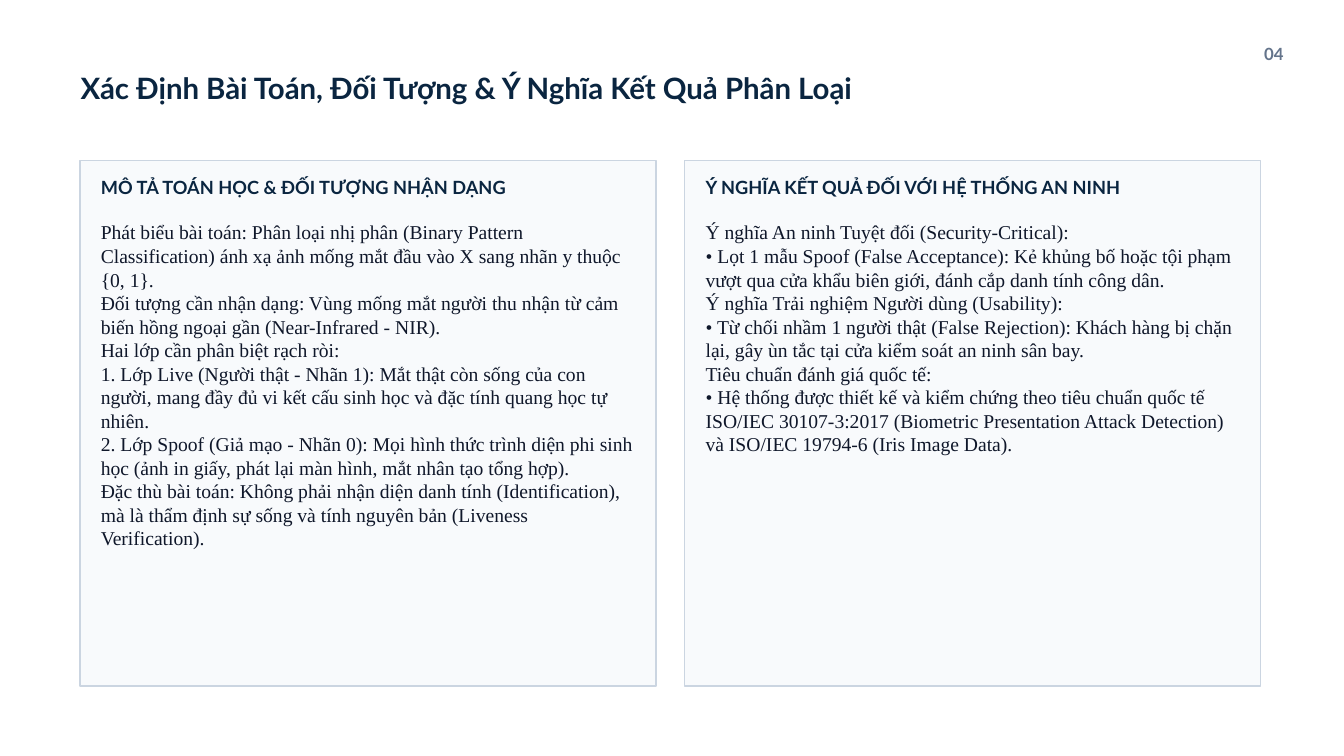
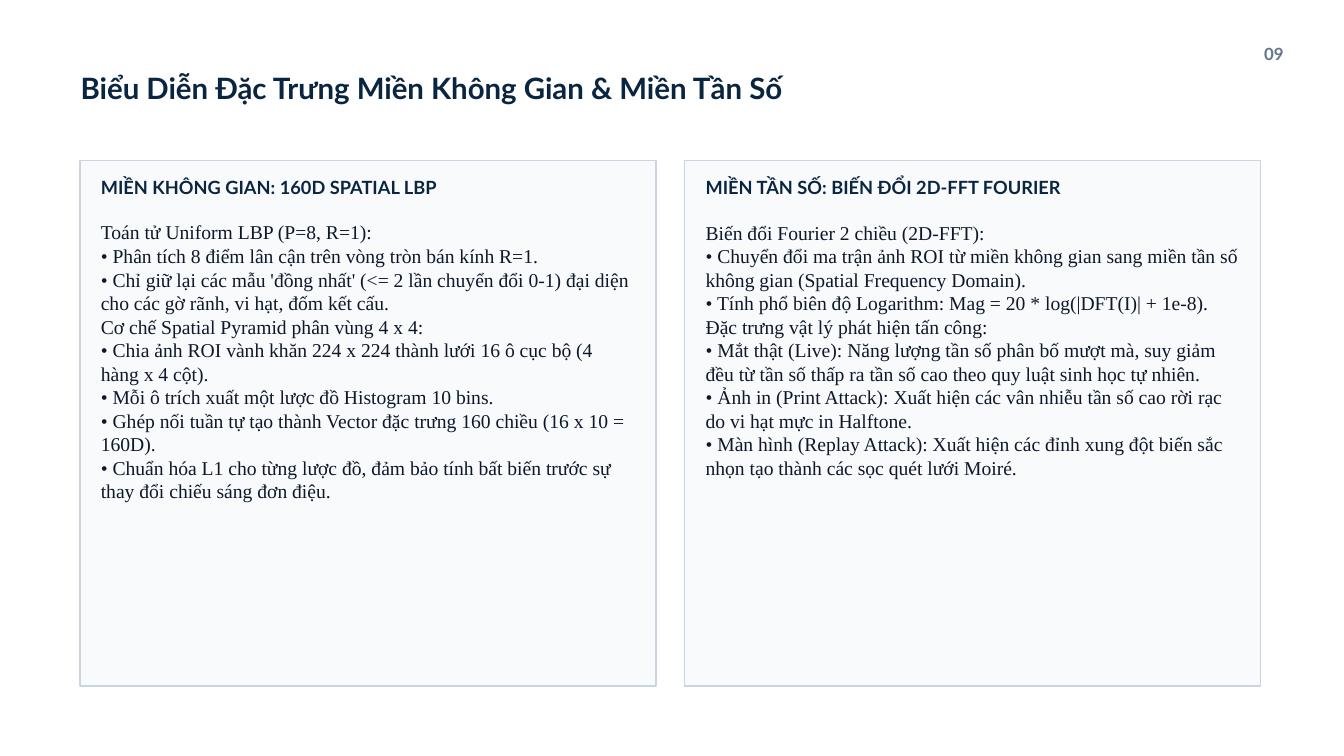
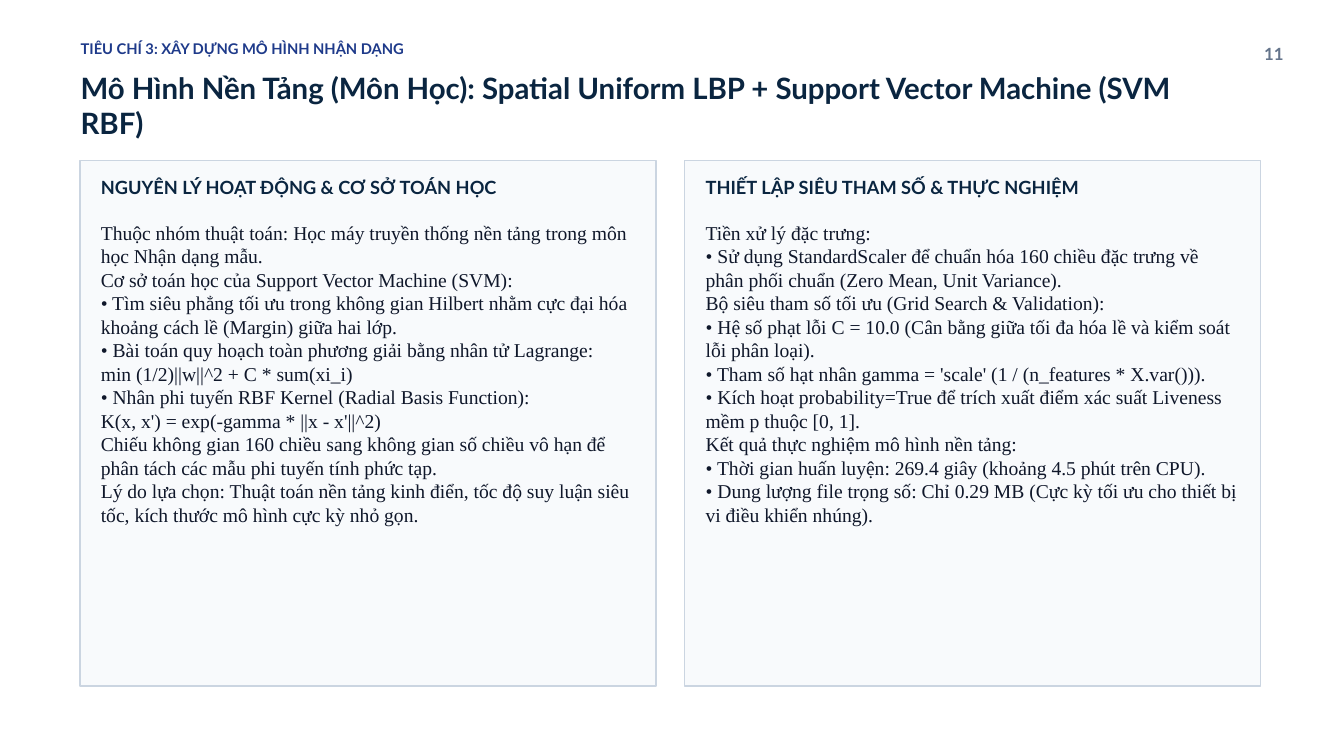
import pptx
import pptx.dml.color
import pptx.enum.shapes
import pptx.enum.text
import pptx.util

WHITE = pptx.dml.color.RGBColor(0xFF, 0xFF, 0xFF)
NAVY = pptx.dml.color.RGBColor(0x0A, 0x25, 0x40)
BLUE = pptx.dml.color.RGBColor(0x1E, 0x3A, 0x8A)
SLATE = pptx.dml.color.RGBColor(0x64, 0x74, 0x8B)
INK = pptx.dml.color.RGBColor(0x0F, 0x17, 0x2A)
CARD_FILL = pptx.dml.color.RGBColor(0xF8, 0xFA, 0xFC)
CARD_LINE = pptx.dml.color.RGBColor(0xCB, 0xD5, 0xE1)

presentation = pptx.Presentation()
presentation.slide_width = pptx.util.Inches(20)
presentation.slide_height = pptx.util.Inches(11.25)
COLUMN = presentation.slide_width / 400
ROW = presentation.slide_height / 225
CARD_PITCH = 180
BODY_LINE_ROWS = 6.92
LINE_SPACING = 1.2

LEFT = pptx.enum.text.PP_ALIGN.LEFT
RIGHT = pptx.enum.text.PP_ALIGN.RIGHT
FRAME_FORMAT = {
    "margin_left": 0,
    "margin_top": 0,
    "margin_right": 0,
    "margin_bottom": 0,
    "word_wrap": True,
    "auto_size": pptx.enum.text.MSO_AUTO_SIZE.SHAPE_TO_FIT_TEXT,
}
STYLES = {
    "criterion": {"name": "Lato", "size": 15.75, "bold": True, "color": BLUE, "align": LEFT},
    "title": {"name": "Lato", "size": 31.5, "bold": True, "color": NAVY, "align": LEFT},
    "number": {"name": "Lato", "size": 18, "bold": True, "color": SLATE, "align": RIGHT},
    "heading": {"name": "Lato", "size": 19.5, "bold": True, "color": NAVY, "align": LEFT},
    "body": {"name": "Times New Roman", "size": 21, "bold": False, "color": INK, "align": LEFT},
}


def place(left, top, width, height):
    return [round(length) for length in (left * COLUMN, top * ROW, width * COLUMN, height * ROW)]


def add_text(slide, box, lines, style_name):
    style = STYLES[style_name]
    size = pptx.util.Pt(style["size"])
    frame = slide.shapes.add_textbox(*place(*box)).text_frame
    for attribute, value in FRAME_FORMAT.items():
        setattr(frame, attribute, value)
    frame.text = "\n".join(lines)
    for paragraph in frame.paragraphs:
        paragraph.alignment = style["align"]
        paragraph.line_spacing = pptx.util.Pt(style["size"] * LINE_SPACING)
        for run in paragraph.runs:
            font_format = {"name": style["name"], "size": size, "bold": style["bold"]}
            for attribute, value in font_format.items():
                setattr(run.font, attribute, value)
            run.font.color.rgb = style["color"]


SLIDES = [
    {
        "number": "04",
        "criterion": None,
        "title": "Xác Định Bài Toán, Đối Tượng & Ý Nghĩa Kết Quả Phân Loại",
        "cards": [
            ("MÔ TẢ TOÁN HỌC & ĐỐI TƯỢNG NHẬN DẠNG", 14, [
                "Phát biểu bài toán: Phân loại nhị phân (Binary Pattern Classification) ánh xạ ảnh mống mắt đầu vào X sang nhãn y thuộc {0, 1}.",
                "Đối tượng cần nhận dạng: Vùng mống mắt người thu nhận từ cảm biến hồng ngoại gần (Near-Infrared - NIR).",
                "Hai lớp cần phân biệt rạch ròi:",
                "1. Lớp Live (Người thật - Nhãn 1): Mắt thật còn sống của con người, mang đầy đủ vi kết cấu sinh học và đặc tính quang học tự nhiên.",
                "2. Lớp Spoof (Giả mạo - Nhãn 0): Mọi hình thức trình diện phi sinh học (ảnh in giấy, phát lại màn hình, mắt nhân tạo tổng hợp).",
                "Đặc thù bài toán: Không phải nhận diện danh tính (Identification), mà là thẩm định sự sống và tính nguyên bản (Liveness Verification).",
            ]),
            ("Ý NGHĨA KẾT QUẢ ĐỐI VỚI HỆ THỐNG AN NINH", 10, [
                "Ý nghĩa An ninh Tuyệt đối (Security-Critical):",
                "• Lọt 1 mẫu Spoof (False Acceptance): Kẻ khủng bố hoặc tội phạm vượt qua cửa khẩu biên giới, đánh cắp danh tính công dân.",
                "Ý nghĩa Trải nghiệm Người dùng (Usability):",
                "• Từ chối nhầm 1 người thật (False Rejection): Khách hàng bị chặn lại, gây ùn tắc tại cửa kiểm soát an ninh sân bay.",
                "Tiêu chuẩn đánh giá quốc tế:",
                "• Hệ thống được thiết kế và kiểm chứng theo tiêu chuẩn quốc tế ISO/IEC 30107-3:2017 (Biometric Presentation Attack Detection) và ISO/IEC 19794-6 (Iris Image Data).",
            ]),
        ],
    },
    {
        "number": "09",
        "criterion": None,
        "title": "Biểu Diễn Đặc Trưng Miền Không Gian & Miền Tần Số",
        "cards": [
            ("MIỀN KHÔNG GIAN: 160D SPATIAL LBP", 12, [
                "Toán tử Uniform LBP (P=8, R=1):",
                "• Phân tích 8 điểm lân cận trên vòng tròn bán kính R=1.",
                "• Chỉ giữ lại các mẫu 'đồng nhất' (<= 2 lần chuyển đổi 0-1) đại diện cho các gờ rãnh, vi hạt, đốm kết cấu.",
                "Cơ chế Spatial Pyramid phân vùng 4 x 4:",
                "• Chia ảnh ROI vành khăn 224 x 224 thành lưới 16 ô cục bộ (4 hàng x 4 cột).",
                "• Mỗi ô trích xuất một lược đồ Histogram 10 bins.",
                "• Ghép nối tuần tự tạo thành Vector đặc trưng 160 chiều (16 x 10 = 160D).",
                "• Chuẩn hóa L1 cho từng lược đồ, đảm bảo tính bất biến trước sự thay đổi chiếu sáng đơn điệu.",
            ]),
            ("MIỀN TẦN SỐ: BIẾN ĐỔI 2D-FFT FOURIER", 11, [
                "Biến đổi Fourier 2 chiều (2D-FFT):",
                "• Chuyển đổi ma trận ảnh ROI từ miền không gian sang miền tần số không gian (Spatial Frequency Domain).",
                "• Tính phổ biên độ Logarithm: Mag = 20 * log(|DFT(I)| + 1e-8).",
                "Đặc trưng vật lý phát hiện tấn công:",
                "• Mắt thật (Live): Năng lượng tần số phân bố mượt mà, suy giảm đều từ tần số thấp ra tần số cao theo quy luật sinh học tự nhiên.",
                "• Ảnh in (Print Attack): Xuất hiện các vân nhiễu tần số cao rời rạc do vi hạt mực in Halftone.",
                "• Màn hình (Replay Attack): Xuất hiện các đỉnh xung đột biến sắc nhọn tạo thành các sọc quét lưới Moiré.",
            ]),
        ],
    },
    {
        "number": "11",
        "criterion": "TIÊU CHÍ 3: XÂY DỰNG MÔ HÌNH NHẬN DẠNG",
        "title": "Mô Hình Nền Tảng (Môn Học): Spatial Uniform LBP + Support Vector Machine (SVM RBF)",
        "cards": [
            ("NGUYÊN LÝ HOẠT ĐỘNG & CƠ SỞ TOÁN HỌC", 13, [
                "Thuộc nhóm thuật toán: Học máy truyền thống nền tảng trong môn học Nhận dạng mẫu.",
                "Cơ sở toán học của Support Vector Machine (SVM):",
                "• Tìm siêu phẳng tối ưu trong không gian Hilbert nhằm cực đại hóa khoảng cách lề (Margin) giữa hai lớp.",
                "• Bài toán quy hoạch toàn phương giải bằng nhân tử Lagrange:",
                "min (1/2)||w||^2 + C * sum(xi_i)",
                "• Nhân phi tuyến RBF Kernel (Radial Basis Function):",
                "K(x, x') = exp(-gamma * ||x - x'||^2)",
                "Chiếu không gian 160 chiều sang không gian số chiều vô hạn để phân tách các mẫu phi tuyến tính phức tạp.",
                "Lý do lựa chọn: Thuật toán nền tảng kinh điển, tốc độ suy luận siêu tốc, kích thước mô hình cực kỳ nhỏ gọn.",
            ]),
            ("THIẾT LẬP SIÊU THAM SỐ & THỰC NGHIỆM", 13, [
                "Tiền xử lý đặc trưng:",
                "• Sử dụng StandardScaler để chuẩn hóa 160 chiều đặc trưng về phân phối chuẩn (Zero Mean, Unit Variance).",
                "Bộ siêu tham số tối ưu (Grid Search & Validation):",
                "• Hệ số phạt lỗi C = 10.0 (Cân bằng giữa tối đa hóa lề và kiểm soát lỗi phân loại).",
                "• Tham số hạt nhân gamma = 'scale' (1 / (n_features * X.var())).",
                "• Kích hoạt probability=True để trích xuất điểm xác suất Liveness mềm p thuộc [0, 1].",
                "Kết quả thực nghiệm mô hình nền tảng:",
                "• Thời gian huấn luyện: 269.4 giây (khoảng 4.5 phút trên CPU).",
                "• Dung lượng file trọng số: Chỉ 0.29 MB (Cực kỳ tối ưu cho thiết bị vi điều khiển nhúng).",
            ]),
        ],
    },
]

for content in SLIDES:
    slide = presentation.slides.add_slide(presentation.slide_layouts[6])
    slide.background.fill.solid()
    slide.background.fill.fore_color.rgb = WHITE

    if content["criterion"]:
        add_text(slide, (24, 11.8, 330, 9.2), [content["criterion"]], "criterion")
    add_text(slide, (24, 20.8, 330, 16.8), [content["title"]], "title")
    add_text(slide, (362, 13, 20, 8.4), [content["number"]], "number")

    for index, (heading, line_count, body) in enumerate(content["cards"]):
        offset = index * CARD_PITCH
        card = slide.shapes.add_shape(
            pptx.enum.shapes.MSO_SHAPE.RECTANGLE, *place(23.8 + offset, 47.8, 171.4, 156.4)
        )
        card.shadow.inherit = False
        card.fill.solid()
        card.fill.fore_color.rgb = CARD_FILL
        card.line.color.rgb = CARD_LINE
        card.line.width = pptx.util.Pt(1.5)
        add_text(slide, (30 + offset, 52.4, 159, 11.4), [heading], "heading")
        add_text(slide, (30 + offset, 65.6, 159, line_count * BODY_LINE_ROWS), body, "body")

presentation.save("out.pptx")
